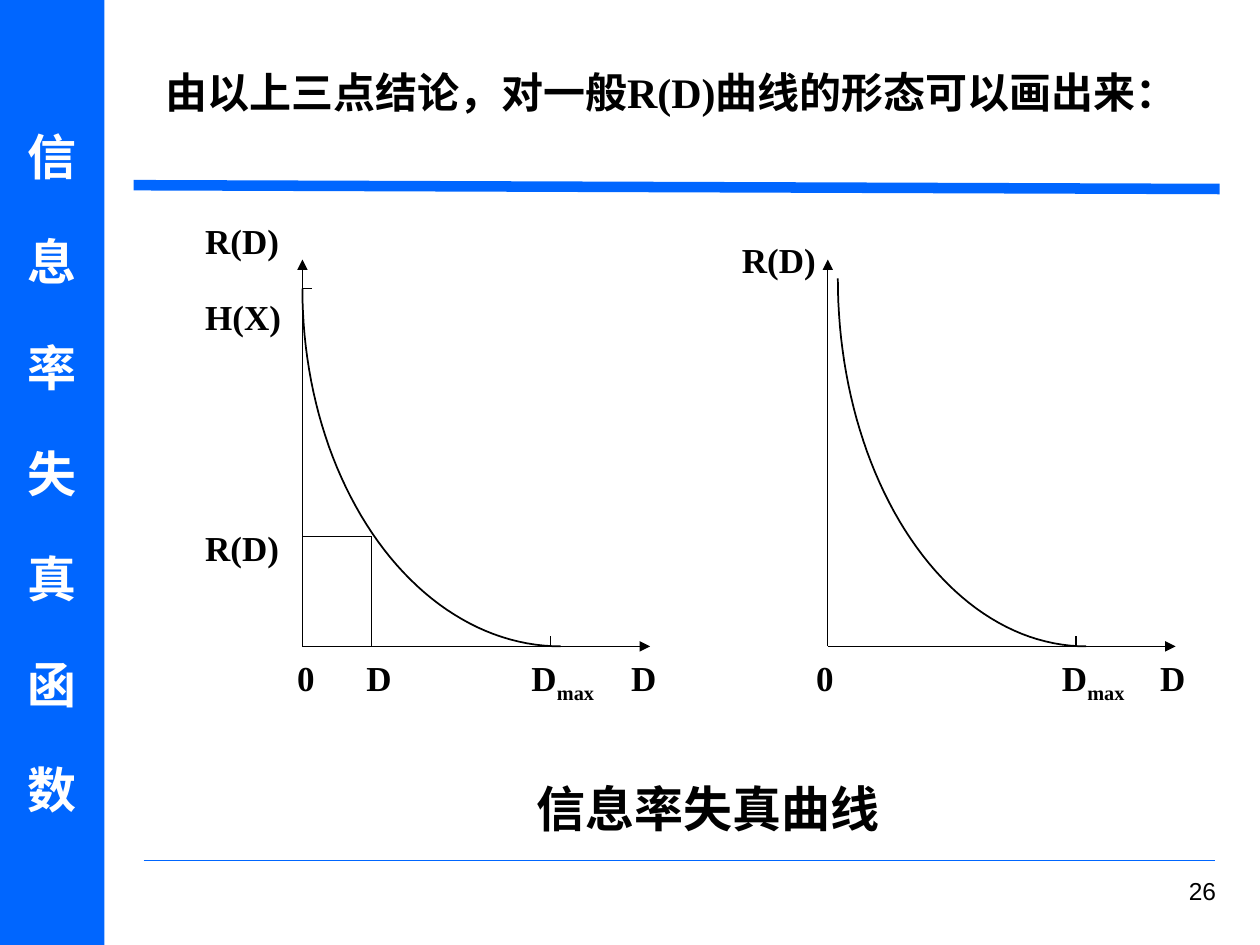
from math import cos, pi, sin

from lxml import etree
from pptx import Presentation
from pptx.dml.color import RGBColor
from pptx.enum.shapes import MSO_CONNECTOR, MSO_SHAPE
from pptx.enum.text import MSO_ANCHOR, MSO_AUTO_SIZE, PP_ALIGN
from pptx.oxml.ns import qn
from pptx.util import Emu, Inches, Pt

STRAIGHT = MSO_CONNECTOR.STRAIGHT
RECTANGLE = MSO_SHAPE.RECTANGLE
TOP, MIDDLE = MSO_ANCHOR.TOP, MSO_ANCHOR.MIDDLE
LEFT, CENTER, RIGHT = PP_ALIGN.LEFT, PP_ALIGN.CENTER, PP_ALIGN.RIGHT
NO_AUTOFIT = MSO_AUTO_SIZE.NONE

COLORS = {"blue": "0066FF", "black": "000000", "white": "FFFFFF"}
SERIF, SANS, CHINESE = "Times New Roman", "Arial", "Noto Sans CJK SC"
CELL = Inches(0.1)
COLUMNS, ROWS = 100, 75
CURVE_STEPS = 48

LABEL = {"size": Pt(20), "name": SERIF, "bold": True}
LABEL_PARA = {"alignment": LEFT, "line_spacing": 1.3}


def grid(*cells):
    return [Emu(round(cell * CELL)) for cell in cells]


def color(name):
    return RGBColor.from_string(COLORS[name])


def apply(target, values):
    for name, value in values.items():
        setattr(target, name, value)


def add_span(para, text, font, tone="black", baseline=None):
    span = para.add_run()
    span.text = text
    apply(span.font, font)
    span.font.color.rgb = color(tone)
    properties = span._r.get_or_add_rPr()
    etree.SubElement(properties, qn("a:ea")).set("typeface", CHINESE)
    if baseline:
        properties.set("baseline", str(baseline))


def write(frame, lines, font, para_format, tone="black", gap=0):
    for index, line in enumerate(lines):
        para = frame.paragraphs[0] if index == 0 else frame.add_paragraph()
        apply(para, para_format)
        para.space_before = Pt(gap if index else 0)
        add_span(para, line, font, tone)


def add_text(page, box, lines, font, para_format, gap=0):
    frame = page.shapes.add_textbox(*grid(*box)).text_frame
    frame.word_wrap = True
    write(frame, lines, font, para_format, gap=gap)
    return frame


def add_line(page, start, end, tone="black", width=0.75, arrow=False):
    line = page.shapes.add_connector(STRAIGHT, *grid(*start, *end))
    line.line.color.rgb = color(tone)
    line.line.width = Pt(width)
    if arrow:
        outline = line.line._get_or_add_ln()
        etree.SubElement(outline, qn("a:tailEnd")).set("type", "triangle")
    etree.SubElement(line._element.spPr, qn("a:effectLst"))


def add_curve(page, left, top, width, height):
    angles = [step * pi / 2 / CURVE_STEPS for step in range(CURVE_STEPS + 1)]
    points = [
        grid(left + width * (1 - cos(angle)), top + height * sin(angle))
        for angle in angles
    ]
    builder = page.shapes.build_freeform(*points[0])
    builder.add_line_segments(points[1:], close=False)
    curve = builder.convert_to_shape()
    curve.shadow.inherit = False
    curve.fill.background()
    curve.line.color.rgb = color("black")
    curve.line.width = Pt(1)


def add_sidebar(page, box):
    sidebar = page.shapes.add_shape(RECTANGLE, *grid(*box))
    sidebar.shadow.inherit = False
    sidebar.fill.solid()
    sidebar.fill.fore_color.rgb = color("blue")
    sidebar.line.fill.background()
    sidebar.text_frame.vertical_anchor = MIDDLE
    font = {"size": Pt(28), "name": SERIF, "bold": True}
    write(sidebar.text_frame, "信息率失真函数", font, {"alignment": CENTER}, "white", 26.7)


def add_heading(page, box):
    title = page.shapes.title
    apply(title, dict(zip(("left", "top", "width", "height"), grid(*box))))
    frame = title.text_frame
    apply(frame, {"vertical_anchor": TOP, "auto_size": NO_AUTOFIT, "word_wrap": True})
    font = {"size": Pt(24), "name": SERIF, "bold": True}
    text = "由以上三点结论，对一般R(D)曲线的形态可以画出来："
    write(frame, [text], font, {"alignment": LEFT, "line_spacing": 0.9})
    left, top, width, height = box
    add_line(page, (10.6, 14.7), (left + width, 15), "blue", 6)


def add_axis_labels(page, box, labels):
    frame = add_text(page, box, [], LABEL, LABEL_PARA)
    para = frame.paragraphs[0]
    apply(para, LABEL_PARA)
    stops = etree.SubElement(para._p.get_or_add_pPr(), qn("a:tabLst"))
    for position, text, subscript in labels:
        stop = etree.SubElement(stops, qn("a:tab"))
        stop.set("pos", str(grid(position)[0]))
        stop.set("algn", "l")
        add_span(para, "\t" + text, LABEL)
        if subscript:
            add_span(para, subscript, LABEL, baseline=-25000)


def add_axes(page, box):
    left, top, width, height = box
    base = top + height
    add_line(page, (left, base), (left, top), arrow=True)
    add_line(page, (left, base), (left + width, base), arrow=True)
    tick = left + 19.7
    add_line(page, (tick, base), (tick, base - 0.8))


def add_bounded_graph(page, box):
    left, top, width, height = box
    base = top + height
    add_axes(page, box)
    peak, level, point = top + 2.3, top + 22, left + 5.5
    add_line(page, (left, peak), (left + 0.8, peak))
    add_curve(page, left, peak, 20.5, base - peak)
    add_line(page, (point, level), (left, level))
    add_line(page, (point, level), (point, base))
    add_text(page, (left - 8.7, top - 4.7, 11.8, 11.4), ["R(D)", "H(X)"], LABEL, LABEL_PARA, 12.5)
    add_text(page, (left - 8.7, level - 2.3, 8.5, 5.4), ["R(D)"], LABEL, LABEL_PARA)
    labels = [(4.9, "0", ""), (10.4, "D", ""), (23.5, "D", "max"), (31.4, "D", "")]
    add_axis_labels(page, (left - 6.3, base - 0.8, 37, 6), labels)


def add_unbounded_graph(page, box):
    left, top, width, height = box
    base = top + height
    add_axes(page, box)
    add_curve(page, left + 0.8, top + 1.5, 19.7, height - 1.5)
    add_text(page, (left - 7.8, top - 3.2, 9.4, 5.4), ["R(D)"], LABEL, LABEL_PARA)
    labels = [(2, "0", ""), (21.5, "D", "max"), (29.3, "D", "")]
    add_axis_labels(page, (left - 3.9, base - 0.8, 38, 6), labels)


def add_caption(page, box):
    font = {"size": Pt(28), "name": CHINESE, "bold": True}
    frame = add_text(page, box, ["信息率失真曲线"], font, LABEL_PARA)
    frame.margin_left = Inches(0.28)


def add_footer(page, box):
    left, top, width, height = box
    add_line(page, (11.4, top - 0.7), (96.4, top - 0.7), "blue")
    add_text(page, box, ["26"], {"size": Pt(14), "name": SANS}, {"alignment": RIGHT})


def main():
    deck = Presentation()
    deck.slide_width, deck.slide_height = grid(COLUMNS, ROWS)
    page = deck.slides.add_slide(deck.slide_layouts[5])
    add_sidebar(page, (0, 0, 8.3, ROWS))
    add_heading(page, (12.1, 5.2, 84.7, 10.6))
    add_bounded_graph(page, (24, 20.6, 27.6, 30.7))
    add_unbounded_graph(page, (65.7, 20.6, 27.6, 30.7))
    add_caption(page, (39.8, 59.9, 46.5, 7.1))
    add_footer(page, (76.7, 69, 20.8, 5))
    deck.save("out.pptx")


if __name__ == "__main__":
    main()
